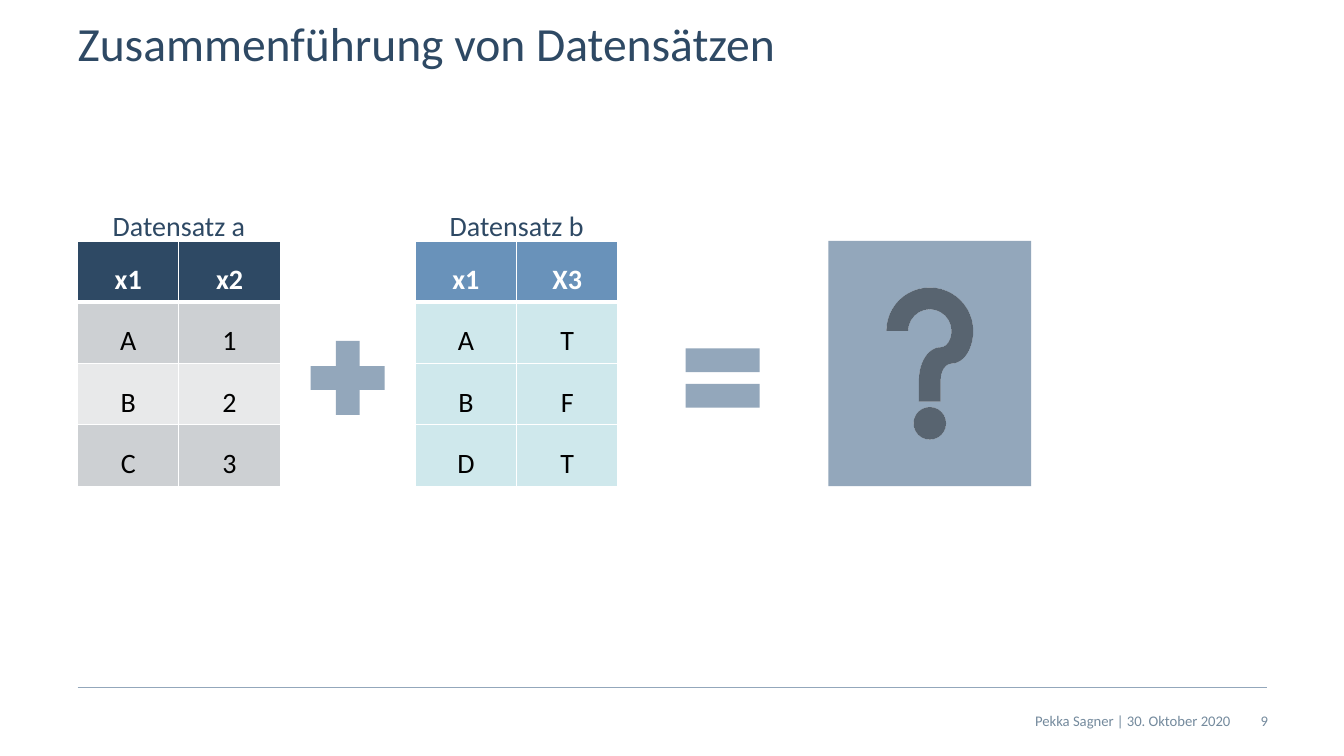
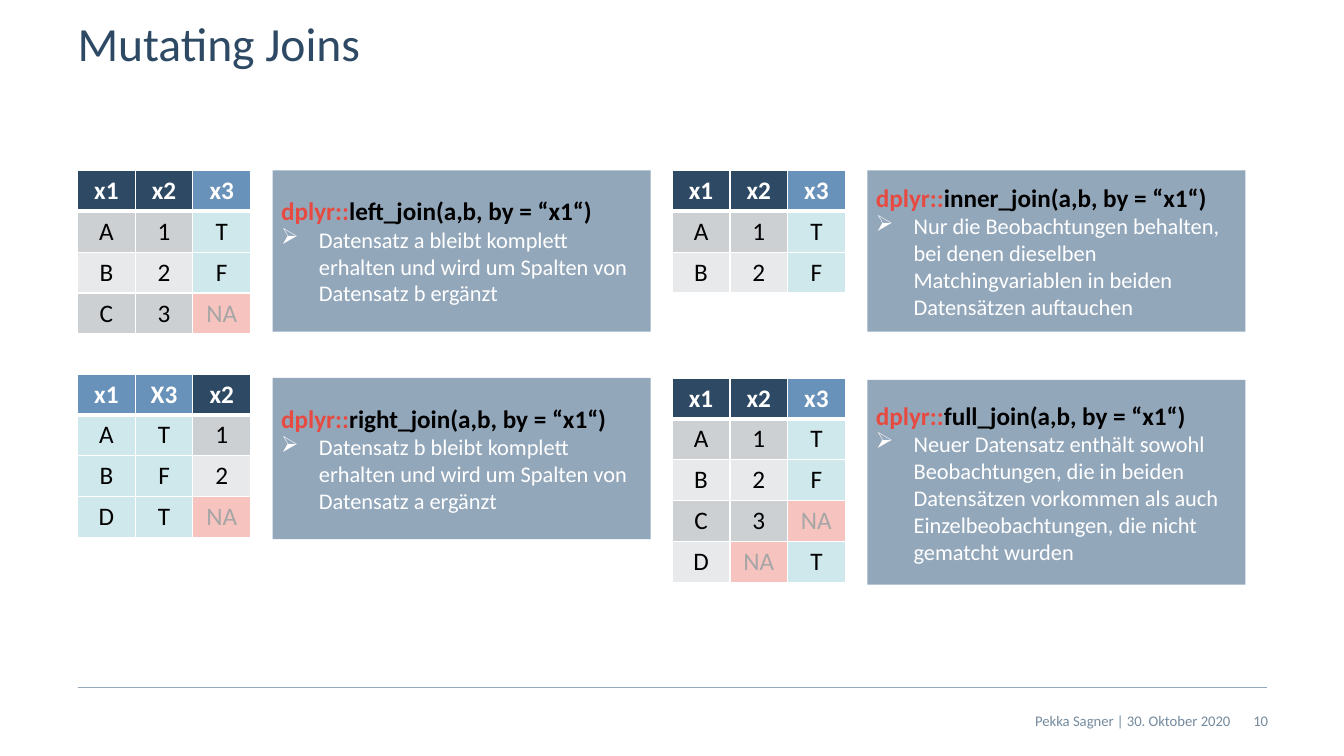
from dataclasses import dataclass

from lxml.etree import SubElement
from pptx import Presentation
from pptx.dml.color import RGBColor
from pptx.enum.shapes import MSO_CONNECTOR, MSO_SHAPE as SHAPE
from pptx.enum.text import MSO_ANCHOR as ANCHOR, MSO_AUTO_SIZE as AUTO_SIZE, PP_ALIGN as ALIGN
from pptx.oxml.ns import qn
from pptx.util import Pt


@dataclass(frozen=True)
class Theme:
    font: str = "Calibri"
    navy: str = "2E4964"
    blue: str = "6992BA"
    steel: str = "93A7BB"
    footer: str = "748A9D"
    grey: str = "CDD0D3"
    light_grey: str = "E8E9EA"
    aqua: str = "CFE8EC"
    rose: str = "F7C3BF"
    missing: str = "A6A6A6"
    red: str = "E74A40"
    white: str = "FFFFFF"
    black: str = "000000"
    title_size: float = 34
    large_size: float = 20
    code_size: float = 18
    body_size: float = 16
    footer_size: float = 10.5


LEFT = 55.4
FOOTER_TEXT = "Pekka Sagner | 30. Oktober 2020"


class SlideBuilder:
    def __init__(self, deck, theme):
        self.deck = deck
        self.theme = theme
        self.page = None

    def new_page(self, title, number):
        self.page = self.deck.slides.add_slide(self.deck.slide_layouts[5])
        self.title(title)
        self.footer(number)

    def run(self, para, text, size, color, bold=False):
        span = para.add_run()
        span.text = text
        span.font.name = self.theme.font
        span.font.size = Pt(size)
        span.font.bold = bold
        span.font.color.rgb = RGBColor.from_string(color)

    def frame(self, box, inset=0, anchor=ANCHOR.TOP, wrap=True):
        """Prepare the text frame of a box and return it."""
        frame = box.text_frame
        frame.auto_size = AUTO_SIZE.NONE
        frame.word_wrap = wrap
        frame.vertical_anchor = anchor
        frame.margin_left = frame.margin_right = Pt(inset)
        frame.margin_top = frame.margin_bottom = Pt(inset)
        return frame

    def title(self, text):
        box = self.page.shapes.title
        box.left, box.top, box.width, box.height = Pt(LEFT), Pt(14.4), Pt(849.6), Pt(45.4)
        para = self.frame(box).paragraphs[0]
        para.alignment = ALIGN.LEFT
        para.line_spacing = 0.9
        self.run(para, text, self.theme.title_size, self.theme.navy)

    def footer(self, number):
        rule = self.page.shapes.add_connector(
            MSO_CONNECTOR.STRAIGHT, Pt(LEFT), Pt(491), Pt(905), Pt(491))
        rule.line.width = Pt(1)
        rule.line.color.rgb = RGBColor.from_string(self.theme.steel)
        SubElement(rule.element.spPr, qn("a:effectLst"))
        for text, left, width in ((FOOTER_TEXT, 435, 444), (str(number), 878.4, 27.4)):
            box = self.page.shapes.add_textbox(Pt(left), Pt(500.4), Pt(width), Pt(28.8))
            para = self.frame(box, anchor=ANCHOR.MIDDLE).paragraphs[0]
            para.alignment = ALIGN.RIGHT
            self.run(para, text, self.theme.footer_size, self.theme.footer)

    def label(self, text, left, top, width):
        box = self.page.shapes.add_textbox(Pt(left), Pt(top), Pt(width), Pt(36))
        para = self.frame(box, inset=6, wrap=False).paragraphs[0]
        para.alignment = ALIGN.CENTER
        self.run(para, text, self.theme.large_size, self.theme.navy)

    def shape(self, kind, left, top, width, height):
        shape = self.page.shapes.add_shape(kind, Pt(left), Pt(top), Pt(width), Pt(height))
        shape.shadow.inherit = False
        shape.fill.solid()
        shape.fill.fore_color.rgb = RGBColor.from_string(self.theme.steel)
        shape.line.fill.background()
        return shape

    def join_card(self, function, note, left, top, height):
        """Add a panel with a dplyr call and one bulleted explanation."""
        theme = self.theme
        box = self.shape(SHAPE.RECTANGLE, left, top, 270, height)
        frame = self.frame(box, inset=6, anchor=ANCHOR.MIDDLE)
        call = frame.paragraphs[0]
        self.run(call, "dplyr::", theme.code_size, theme.red, bold=True)
        self.run(call, f"{function}(a,b, by = “x1“)", theme.code_size, theme.black, bold=True)
        bullet = frame.add_paragraph()
        self.run(bullet, note, theme.body_size, theme.white)
        properties = bullet._p.get_or_add_pPr()
        properties.set("marL", str(Pt(27)))
        properties.set("indent", str(-Pt(27)))
        SubElement(properties, qn("a:buChar"), char="➢")
        for para in frame.paragraphs:
            para.alignment = ALIGN.LEFT

    def cell_colors(self, row, source, text):
        """Return fill and text colour, by row and by the data set of the column."""
        theme = self.theme
        if row == 0:
            return (theme.navy if source == "a" else theme.blue), theme.white
        if text == "NA":
            return theme.rose, theme.missing
        if source == "b":
            return theme.aqua, theme.black
        return (theme.grey if row % 2 else theme.light_grey), theme.black

    def cell_borders(self, cell, row):
        properties = cell._tc.get_or_add_tcPr()
        widths = {"L": 1, "R": 1, "T": 3 if row == 1 else 1, "B": 3 if row == 0 else 1}
        for side, width in widths.items():
            line = SubElement(properties, qn(f"a:ln{side}"), w=str(Pt(width)))
            fill = SubElement(line, qn("a:solidFill"))
            SubElement(fill, qn("a:srgbClr"), val=self.theme.white)

    def data_table(self, rows, sources, left, top, column_width, row_height, size):
        """Add a table; sources names the data set, a or b, of each column."""
        grid = [row.split() for row in rows]
        table = self.page.shapes.add_table(
            len(grid), len(sources), Pt(left), Pt(top),
            Pt(column_width * len(sources)), Pt(row_height * len(grid))).table
        table.horz_banding = False
        for column in table.columns:
            column.width = Pt(column_width)
        for r, texts in enumerate(grid):
            table.rows[r].height = Pt(row_height)
            for c, (text, source) in enumerate(zip(texts, sources)):
                cell = table.cell(r, c)
                fill, color = self.cell_colors(r, source, text)
                self.cell_borders(cell, r)
                cell.fill.solid()
                cell.fill.fore_color.rgb = RGBColor.from_string(fill)
                cell.vertical_anchor = ANCHOR.BOTTOM
                para = cell.text_frame.paragraphs[0]
                para.alignment = ALIGN.CENTER
                self.run(para, text, size, color, bold=r == 0)


def build_merge_page(builder):
    builder.new_page("Zusammenführung von Datensätzen", 9)
    top, column_width, row_height, label_width = 172.1, 72.4, 43.8, 107.4
    width = 2 * column_width
    data_sets = (
        ("a", LEFT, ["x1 x2", "A 1", "B 2", "C 3"]),
        ("b", 296.6, ["x1 X3", "A T", "B F", "D T"]),
    )
    for name, left, rows in data_sets:
        builder.data_table(rows, name * 2, left, top, column_width, row_height,
                           builder.theme.large_size)
        builder.label(f"Datensatz {name}", left + (width - label_width) / 2,
                      top - 28.8, label_width)
    builder.shape(SHAPE.MATH_PLUS, 212.4, 234, 72, 72)
    builder.shape(SHAPE.MATH_EQUAL, 480.2, 234, 72, 72)
    builder.shape(SHAPE.ACTION_BUTTON_HELP, 591.8, top, width, 4 * row_height)


def build_joins_page(builder):
    builder.new_page("Mutating Joins", 10)
    right, upper, card_offset = 480.2, 121.7, 139.4
    # function, column sources, rows, left, table top, card top, card height, note
    joins = (
        ("left_join", "aab", ["x1 x2 x3", "A 1 T", "B 2 F", "C 3 NA"],
         LEFT, upper, upper, 115.2,
         "Datensatz a bleibt komplett erhalten und wird um Spalten von Datensatz b ergänzt"),
        ("right_join", "bba", ["x1 X3 x2", "A T 1", "B F 2", "D T NA"],
         LEFT, 267.1, 270, 115.2,
         "Datensatz b bleibt komplett erhalten und wird um Spalten von Datensatz a ergänzt"),
        ("inner_join", "aab", ["x1 x2 x3", "A 1 T", "B 2 F"],
         right, upper, upper, 115.2,
         "Nur die Beobachtungen behalten, bei denen dieselben Matchingvariablen "
         "in beiden Datensätzen auftauchen"),
        ("full_join", "aab", ["x1 x2 x3", "A 1 T", "B 2 F", "C 3 NA", "D NA T"],
         right, 270, 271.4, 146.2,
         "Neuer Datensatz enthält sowohl Beobachtungen, die in beiden Datensätzen "
         "vorkommen als auch Einzelbeobachtungen, die nicht gematcht wurden"),
    )
    for function, sources, rows, left, table_top, card_top, height, note in joins:
        builder.data_table(rows, sources, left, table_top, 41.2, 29.2,
                           builder.theme.code_size)
        builder.join_card(function, note, left + card_offset, card_top, height)


def main():
    deck = Presentation()
    deck.slide_width, deck.slide_height = Pt(960), Pt(540)
    builder = SlideBuilder(deck, Theme())
    build_merge_page(builder)
    build_joins_page(builder)
    deck.save("out.pptx")


if __name__ == "__main__":
    main()
